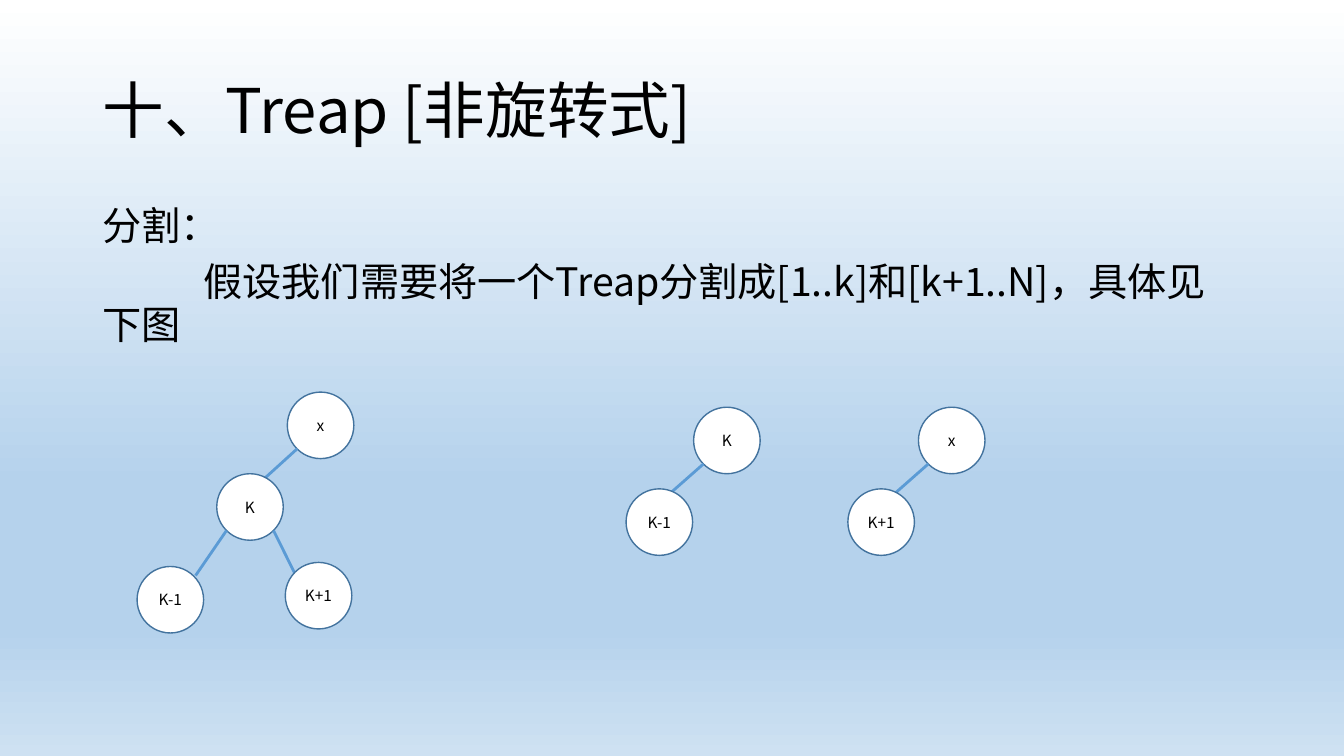
from dataclasses import dataclass
from math import cos, pi

from lxml.etree import SubElement
from pptx import Presentation
from pptx.dml.color import RGBColor
from pptx.enum.shapes import MSO_CONNECTOR, MSO_SHAPE
from pptx.enum.text import MSO_ANCHOR, PP_ALIGN
from pptx.oxml.ns import qn
from pptx.util import Inches, Pt


@dataclass(frozen=True)
class Theme:
    font: str = "Noto Sans CJK SC"
    ink: str = "000000"
    node_fill: str = "FFFFFF"
    node_line: str = "43739E"
    edge: str = "5B9BD5"
    sky: tuple = ((0, "FFFFFF"), (64, "B5D2EC"), (83, "B5D2EC"), (100, "CEE1F2"))
    title_size: int = 44
    body_size: int = 28
    node_size: int = 11
    diameter: float = 0.66


class TreapSlide:
    def __init__(self, prs, theme):
        self.theme = theme
        self.s = prs.slides.add_slide(prs.slide_layouts[6])

    def background(self):
        fill = self.s.background.fill
        fill.gradient()
        fill.gradient_angle = 270
        stops = next(self.s.background._cSld.iter(qn("a:gsLst")))
        for stop in list(stops):
            stops.remove(stop)
        for position, color in self.theme.sky:
            stop = SubElement(stops, qn("a:gs"), pos=str(position * 1000))
            SubElement(stop, qn("a:srgbClr"), val=color)

    def style(self, p, size):
        for r in p.runs:
            r.font.size = Pt(size)
            r.font.name = self.theme.font
            r.font.color.rgb = RGBColor.from_string(self.theme.ink)
            SubElement(r._r.get_or_add_rPr(), qn("a:ea"), typeface=self.theme.font)

    def text(self, box, lines, size, anchor=MSO_ANCHOR.TOP, before=0):
        tf = self.s.shapes.add_textbox(*map(Inches, box)).text_frame
        tf.word_wrap = True
        tf.vertical_anchor = anchor
        for i, (line, indent) in enumerate(lines):
            p = tf.paragraphs[0] if i == 0 else tf.add_paragraph()
            p.text = line
            p.line_spacing = 0.9
            p.space_before = Pt(before)
            p._p.get_or_add_pPr().set("indent", str(Inches(indent)))
            self.style(p, size)

    def node(self, label, left, top):
        d = Inches(self.theme.diameter)
        sp = self.s.shapes.add_shape(MSO_SHAPE.OVAL, Inches(left), Inches(top), d, d)
        sp.shadow.inherit = False
        sp.fill.solid()
        sp.fill.fore_color.rgb = RGBColor.from_string(self.theme.node_fill)
        sp.line.color.rgb = RGBColor.from_string(self.theme.node_line)
        sp.line.width = Pt(1)
        tf = sp.text_frame
        tf.margin_left = tf.margin_right = 0
        tf.vertical_anchor = MSO_ANCHOR.MIDDLE
        p = tf.paragraphs[0]
        p.text = label
        p.alignment = PP_ALIGN.CENTER
        self.style(p, self.theme.node_size)

    def edge(self, start, end):
        line = self.s.shapes.add_connector(
            MSO_CONNECTOR.STRAIGHT, *map(Inches, (*start, *end)))
        line.line.color.rgb = RGBColor.from_string(self.theme.edge)
        line.line.width = Pt(2)
        SubElement(line._element.spPr, qn("a:effectLst"))

    def tree(self, label, left, top, children=()):
        self.node(label, left, top)
        radius = self.theme.diameter / 2
        reach = radius * cos(pi / 4)
        for side, end, child in children:
            self.edge((left + radius + side * reach, top + radius + reach), end)
            self.tree(*child)


LEFT, RIGHT = -1, 1
TREES = (
    ("x", 2.85, 3.89, (
        (LEFT, (2.62, 4.75), ("K", 2.15, 4.7, (
            (LEFT, (1.94, 5.71), ("K-1", 1.36, 5.62)),
            (RIGHT, (2.92, 5.68), ("K+1", 2.83, 5.58)),
        ))),
    )),
    ("K", 6.88, 4.04, ((LEFT, (6.64, 4.9), ("K-1", 6.21, 4.85)),)),
    ("x", 9.11, 4.04, ((LEFT, (8.87, 4.9), ("K+1", 8.41, 4.85)),)),
)


def main():
    prs = Presentation()
    prs.slide_width, prs.slide_height = Inches(13.33), Inches(7.5)
    theme = Theme()
    slide = TreapSlide(prs, theme)
    slide.background()
    slide.text((0.92, 0.4, 11.5, 1.45), [("十、Treap [非旋转式]", 0)],
               theme.title_size, MSO_ANCHOR.MIDDLE)
    slide.text((0.92, 2, 11.5, 4.76), [
        ("分割：", 0),
        ("假设我们需要将一个Treap分割成[1..k]和[k+1..N]，具体见下图", 1),
    ], theme.body_size, before=10)
    for tree in TREES:
        slide.tree(*tree)
    prs.save("out.pptx")


if __name__ == "__main__":
    main()
